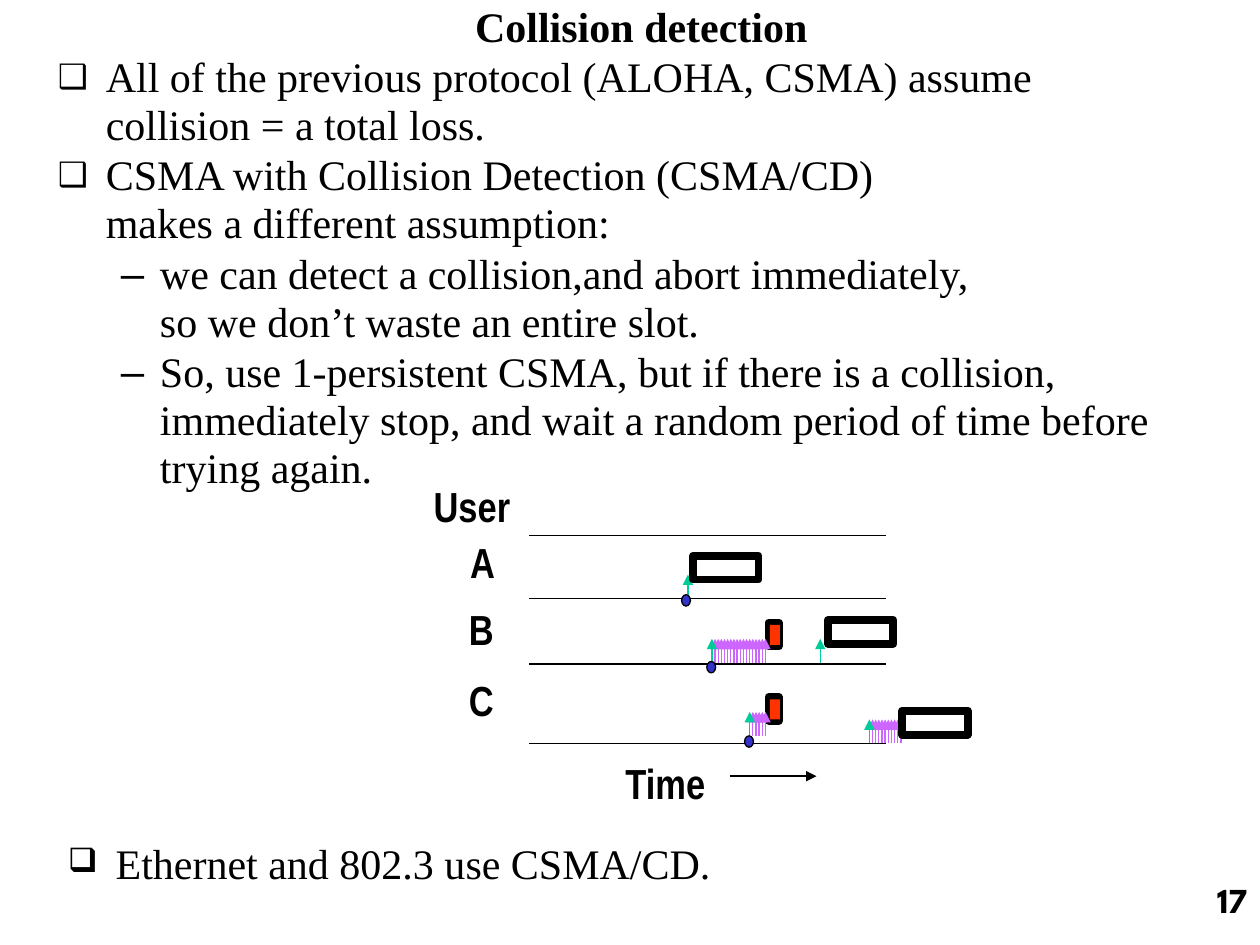
from pptx import Presentation
from pptx.dml.color import RGBColor
from pptx.enum.shapes import MSO_CONNECTOR, MSO_SHAPE
from pptx.enum.text import MSO_ANCHOR, MSO_AUTO_SIZE, PP_ALIGN
from pptx.oxml.ns import qn
from pptx.util import Inches, Pt
from lxml import etree

RECTANGLE, OVAL = MSO_SHAPE.RECTANGLE, MSO_SHAPE.OVAL
STRAIGHT = MSO_CONNECTOR.STRAIGHT
CENTER, RIGHT = PP_ALIGN.CENTER, PP_ALIGN.RIGHT
MIDDLE = MSO_ANCHOR.MIDDLE
NO_AUTOFIT = MSO_AUTO_SIZE.NONE

SERIF, NARROW, NUMBER_FONT = "Times New Roman", "Arial Narrow", "League Spartan"
BLACK, WHITE = "000000", "FFFFFF"
GREEN, PURPLE, BLUE, RED = "00CC99", "CC66FF", "3333CC", "FF3300"

BULLETS = [
    (0, "All of the previous protocol (ALOHA, CSMA) assume\ncollision = a total loss."),
    (0, "CSMA with Collision Detection (CSMA/CD)\nmakes a different assumption:"),
    (1, "we can detect a collision,and abort immediately,\nso we don’t waste an entire slot."),
    (1, "So, use 1-persistent CSMA, but if there is a collision, immediately stop, "
        "and wait a random period of time before trying again."),
]
# Per level: bullet character, size in percent, text indent, hanging indent
LEVELS = [("❑", 80, 0.38, 0.38), ("–", 100, 0.81, 0.31)]

LABELS = [("User", 3.44, 3.81, 0.61), ("A", 3.73, 4.26, 0.2), ("B", 3.72, 4.79, 0.2),
          ("C", 3.72, 5.35, 0.2), ("Time", 4.96, 6.01, 0.64)]
PACKETS = [(5.5, 4.41), (6.57, 4.92), (7.16, 5.64)]
ARRIVALS = [(5.41, 4.72), (5.61, 5.25), (5.91, 5.84)]
COLLISION_TOPS = [4.94, 5.53]
# Sensing attempts: left, bottom, number of repeated attempts
ATTEMPTS = [(5.46, 4.75, 0), (5.65, 5.26, 17), (6.51, 5.26, 0),
            (5.95, 5.84, 5), (6.9, 5.9, 10)]
ATTEMPT_GAP, ATTEMPT_HEIGHT = 0.025, 0.19


def color(value):
    return RGBColor.from_string(value)


def place(box, left, top, width, height):
    box.left, box.top = Inches(left), Inches(top)
    box.width, box.height = Inches(width), Inches(height)


def format_runs(para, font, size, bold=False):
    for span in para.runs:
        span.font.name, span.font.size, span.font.bold = font, Pt(size), bold
        span.font.color.rgb = color(BLACK)
    # Line breaks carry their own size
    for line_break in para._p.findall(qn("a:br")):
        etree.SubElement(line_break, qn("a:rPr"), sz=str(size * 100))


def write_bullet(para, text, level):
    character, percent, indent, hanging = LEVELS[level]
    para.text = text
    para.level = level
    properties = para._p.get_or_add_pPr()
    properties.set("marL", str(Inches(indent)))
    properties.set("indent", str(-Inches(hanging)))
    bullet_color = etree.SubElement(properties, qn("a:buClr"))
    etree.SubElement(bullet_color, qn("a:srgbClr"), val=BLACK)
    etree.SubElement(properties, qn("a:buSzPct"), val=str(percent * 1000))
    etree.SubElement(properties, qn("a:buChar"), char=character)
    para.line_spacing = 0.95
    format_runs(para, SERIF, 24)


def add_title(page, text):
    title = page.shapes.title
    place(title, 0.84, 0, 8.5, 0.4)
    frame = title.text_frame
    frame.text = text
    frame.auto_size = NO_AUTOFIT
    frame.vertical_anchor = MIDDLE
    frame.paragraphs[0].alignment = CENTER
    format_runs(frame.paragraphs[0], SERIF, 24, True)


def add_body(page):
    body = page.placeholders[1]
    place(body, 0.36, 0.38, 9.25, 4.5)
    frame = body.text_frame
    frame.auto_size = NO_AUTOFIT
    for number, (level, text) in enumerate(BULLETS):
        para = frame.add_paragraph() if number else frame.paragraphs[0]
        write_bullet(para, text, level)
        para.space_before = Pt(1.5 if number else 0)


def add_text_box(page, left, top, width, height):
    box = page.shapes.add_textbox(*map(Inches, (left, top, width, height)))
    box.text_frame.word_wrap = True
    return box.text_frame.paragraphs[0]


def add_box(page, kind, left, top, width, height, fill=None, line=None, weight=0.75):
    box = page.shapes.add_shape(kind, *map(Inches, (left, top, width, height)))
    box.shadow.inherit = False
    if fill:
        box.fill.solid()
        box.fill.fore_color.rgb = color(fill)
    else:
        box.fill.background()
    if line:
        box.line.color.rgb = color(line)
        box.line.width = Pt(weight)
    else:
        box.line.fill.background()
    return box


def add_label(page, text, left, top, width):
    frame = add_box(page, RECTANGLE, left, top, width, 0.4, WHITE).text_frame
    frame.margin_left = frame.margin_right = frame.margin_top = frame.margin_bottom = 0
    frame.word_wrap = False
    frame.vertical_anchor = MIDDLE
    frame.text = text
    frame.paragraphs[0].alignment = CENTER
    format_runs(frame.paragraphs[0], NARROW, 24, True)


def add_line(page, x1, y1, x2, y2, line=BLACK, arrow=False):
    connector = page.shapes.add_connector(STRAIGHT, *map(Inches, (x1, y1, x2, y2)))
    connector.line.color.rgb = color(line)
    connector.line.width = Pt(0.75)
    if arrow:
        etree.SubElement(connector.line._get_or_add_ln(), qn("a:tailEnd"), type="triangle")
    etree.SubElement(connector._element.spPr, qn("a:effectLst"))


def add_attempts(page, left, bottom, repeats):
    # Repeated attempts first, so the first attempt stays in front
    for step in range(repeats, -1, -1):
        x = left + step * ATTEMPT_GAP
        add_line(page, x, bottom, x, bottom - ATTEMPT_HEIGHT,
                 PURPLE if step else GREEN, arrow=True)


def add_timeline(page):
    for label in LABELS:
        add_label(page, *label)
    for y in (4.25, 4.75, 5.27, 5.9):
        add_line(page, 4.2, y, 7.03, y)
    add_line(page, 5.79, 6.16, 6.48, 6.16, arrow=True)

    # Aborted transmissions, with the attempts between frame and filling
    for top in COLLISION_TOPS:
        add_box(page, RECTANGLE, 6.1, top, 0.08, 0.19, line=BLACK, weight=4.5)
    for attempt in ATTEMPTS:
        add_attempts(page, *attempt)
    for top in COLLISION_TOPS:
        add_box(page, RECTANGLE, 6.11, top + 0.02, 0.08, 0.16, RED)

    # Arrivals and complete packets
    for left, top in ARRIVALS:
        add_box(page, OVAL, left, top, 0.07, 0.09, BLUE, BLACK)
    for left, top in PACKETS:
        add_box(page, RECTANGLE, left, top, 0.52, 0.19, line=BLACK, weight=4.5)


def main():
    deck = Presentation()
    deck.slide_width, deck.slide_height = Inches(10), Inches(7.5)
    page = deck.slides.add_slide(deck.slide_layouts[1])

    add_title(page, "Collision detection")
    add_body(page)
    add_timeline(page)

    # Closing remark and page number
    write_bullet(add_text_box(page, 0.44, 6.63, 9.56, 0.5),
                 "Ethernet and 802.3 use CSMA/CD.", 0)
    number = add_text_box(page, 7.92, 6.92, 2.08, 0.5)
    number.text = "17"
    number.alignment = RIGHT
    format_runs(number, NUMBER_FONT, 20, True)

    deck.save("out.pptx")


if __name__ == "__main__":
    main()
